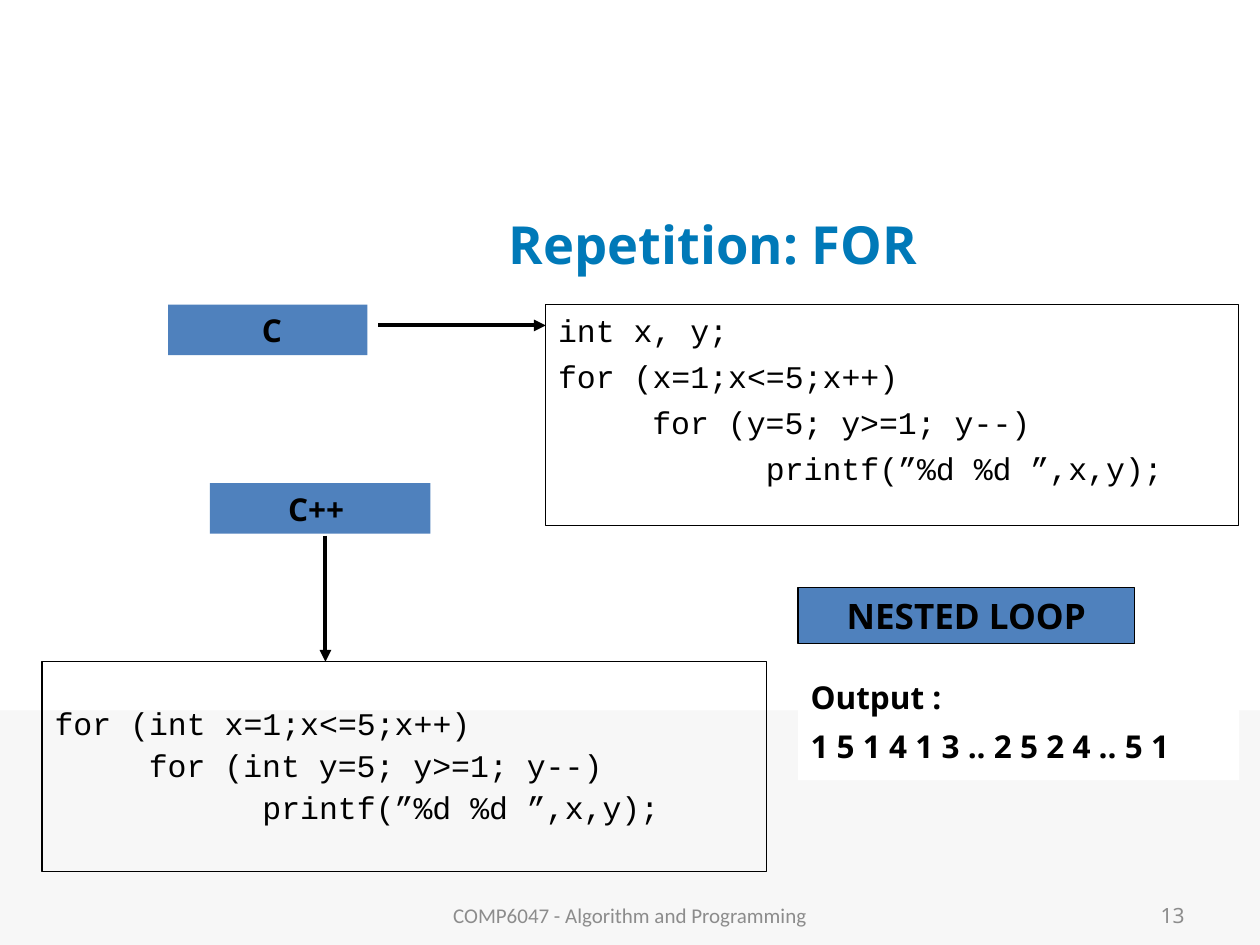
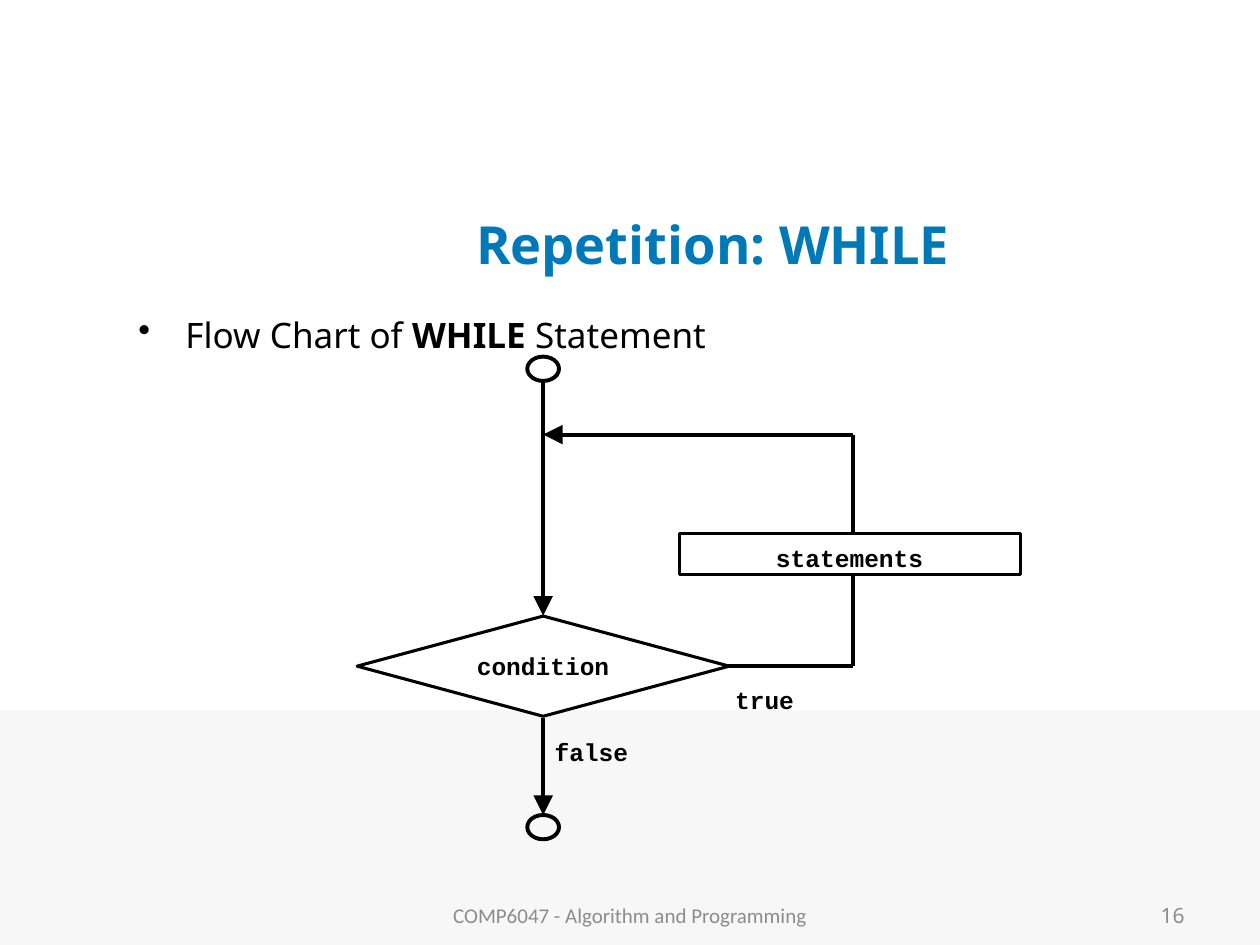
"""Builds two slides on the FOR and WHILE repetition statements."""
import lxml.etree
import pptx
import pptx.dml.color
import pptx.enum.shapes
import pptx.enum.text
import pptx.oxml.ns
import pptx.util

Cm, Pt = pptx.util.Cm, pptx.util.Pt
qn = pptx.oxml.ns.qn
rgb = pptx.dml.color.RGBColor.from_string
SHAPE = pptx.enum.shapes.MSO_SHAPE
ALIGN = pptx.enum.text.PP_ALIGN
ANCHOR = pptx.enum.text.MSO_ANCHOR

BLACK, WHITE, BLUE, BAND, TITLE, GREY = "000000", "FFFFFF", "4F81BD", "F7F7F7", "0079B8", "8C8C8C"
SANS, CODE, FOOTER = "Noto Sans", "Courier New", "Calibri"


def add_box(s, kind, box, lines=(), font=SANS, size=18, bold=True, color=BLACK, align=ALIGN.CENTER,
            anchor=ANCHOR.MIDDLE, fill=None, line=None, inset=None):
    box = [Cm(v) for v in box]
    if kind is None:
        sp = s.shapes.add_textbox(*box)
    else:
        sp = s.shapes.add_shape(kind, *box)
        sp.shadow.inherit = False
    if fill:
        sp.fill.solid()
        sp.fill.fore_color.rgb = rgb(fill)
    else:
        sp.fill.background()
    if line:
        sp.line.color.rgb = rgb(BLACK)
        sp.line.width = Pt(line)
    else:
        sp.line.fill.background()
    tf = sp.text_frame
    tf.word_wrap = True
    tf.vertical_anchor = anchor
    if inset is not None:
        tf.margin_left = tf.margin_right = tf.margin_top = tf.margin_bottom = Cm(inset)
    tf.text = "\n".join(lines)
    for p in tf.paragraphs:
        p.alignment = align
        for r in p.runs:
            r.font.name, r.font.size, r.font.bold = font, Pt(size), bold
            r.font.color.rgb = rgb(color)
    return sp


def add_line(s, x1, y1, x2, y2, head=None):
    sp = s.shapes.add_connector(pptx.enum.shapes.MSO_CONNECTOR.STRAIGHT, Cm(x1), Cm(y1), Cm(x2), Cm(y2))
    sp.line.color.rgb = rgb(BLACK)
    sp.line.width = Pt(2.25)
    spPr = sp._element.spPr
    if head:
        lxml.etree.SubElement(spPr.find(qn("a:ln")), qn("a:tailEnd"), type="triangle", w=head, len=head)
    lxml.etree.SubElement(spPr, qn("a:effectLst"))


prs = pptx.Presentation()
prs.slide_width, prs.slide_height = Cm(25.4), Cm(19.05)

for title, number in (("Repetition: FOR", "13"), ("Repetition: WHILE", "16")):
    s = prs.slides.add_slide(prs.slide_layouts[5])
    add_box(s, SHAPE.RECTANGLE, (0, 14.32, 25.4, 4.73), fill=BAND)
    sp = s.shapes.title
    sp.left, sp.top, sp.width, sp.height = Cm(4.87), Cm(3.81), Cm(19), Cm(2.2)
    tf = sp.text_frame
    tf.text = title
    tf.vertical_anchor = ANCHOR.MIDDLE
    p = tf.paragraphs[0]
    p.alignment = ALIGN.CENTER
    font = p.runs[0].font
    font.name, font.size, font.bold = SANS, Pt(30), True
    font.color.rgb = rgb(TITLE)
    add_box(s, None, (8.68, 17.93, 8.04, 1.02), ["COMP6047 - Algorithm and Programming"],
            FOOTER, 12, False, GREY)
    add_box(s, None, (18.2, 17.93, 5.93, 1.02), [number], SANS, 12, False, GREY, ALIGN.RIGHT)

s = prs.slides[0]
listings = (
    ((11, 6.14, 13.97, 4.45), ["int x, y;", "for (x=1;x<=5;x++)", "for (y=5; y>=1; y--)"],
     (0, 0, 1.9, 4.19), 1.0, 0.13),
    ((0.85, 13.34, 14.6, 4.23), ["for (int x=1;x<=5;x++)", "for (int y=5; y>=1; y--)"],
     (0, 1.9, 4.19), 0.9, 0.93),
)
for box, lines, indents, spacing, top in listings:
    sp = add_box(s, SHAPE.RECTANGLE, box, lines + ["printf(”%d %d ”,x,y);"], CODE, bold=False,
                 align=ALIGN.LEFT, anchor=ANCHOR.TOP, line=0.75)
    sp.text_frame.margin_top = Cm(top)
    for p, indent in zip(sp.text_frame.paragraphs, indents):
        p.line_spacing, p.space_before = spacing, Pt(4.7)
        p._p.get_or_add_pPr().set("marL", str(Cm(indent)))

sp = add_box(s, SHAPE.RECTANGLE, (16.09, 13.55, 8.89, 2.18), ["Output :", "1 5 1 4 1 3 .. 2 5 2 4 .. 5 1"],
             align=ALIGN.LEFT, anchor=ANCHOR.TOP, fill=WHITE)
sp.text_frame.paragraphs[1].space_before = Pt(6)

for text, box, size, line in ((" C", (3.39, 6.14, 4.02, 1.02), 18, None),
                              ("C++ ", (4.23, 9.74, 4.45, 1.02), 18, None),
                              ("NESTED LOOP", (16.09, 11.85, 6.78, 1.13), 20, 0.75)):
    add_box(s, SHAPE.RECTANGLE, box, [text], size=size, fill=BLUE, line=line)
add_line(s, 6.56, 10.8, 6.56, 13.34, "med")
add_line(s, 7.62, 6.56, 11, 6.56, "med")

s = prs.slides[1]
sp = add_box(s, None, (2.54, 6.35, 21.8, 10.34), align=ALIGN.JUSTIFY, anchor=ANCHOR.TOP)
p = sp.text_frame.paragraphs[0]
p.line_spacing, p.space_before = 0.8, Pt(4)
pPr = p._p.get_or_add_pPr()
pPr.set("marL", str(Cm(0.95)))
pPr.set("indent", str(-Cm(0.95)))
lxml.etree.SubElement(pPr, qn("a:buChar"), char="•")
for text, bold in (("Flow Chart of ", False), ("WHILE ", True), ("Statement", False)):
    r = p.add_run()
    r.text = text
    r.font.name, r.font.size, r.font.bold = SANS, Pt(20), bold
    r.font.color.rgb = rgb(BLACK)

axis, loop, back, mid = 10.95, 17.2, 8.76, 13.43
add_line(s, axis, 7.7, axis, 12.41, "lg")
add_line(s, axis, 14.47, axis, 16.43, "lg")
add_line(s, 14.68, mid, loop, mid)
add_line(s, loop, mid, loop, back)
add_line(s, loop, back, axis, back, "lg")
for top in (7.19, 16.43):
    add_box(s, SHAPE.OVAL, (axis - 0.32, top, 0.64, 0.49), line=2.25)
sp = add_box(s, SHAPE.RECTANGLE, (13.69, 10.76, 6.88, 0.82), ["statements"], CODE, 14,
             fill=WHITE, line=1.75, inset=0)
sp.text_frame.margin_top = Cm(0.13)
add_box(s, SHAPE.DIAMOND, (axis - 3.75, mid - 1.01, 7.5, 2.02), ["condition"], CODE, 14,
        fill=WHITE, line=1.75, inset=0)
for text, x, y in (("true", 14.82, 13.8), ("false", 11.18, 14.85)):
    add_box(s, None, (x, y, 2.7, 1), [text], CODE, 14, align=ALIGN.LEFT, anchor=ANCHOR.TOP, inset=0)

prs.save("out.pptx")
